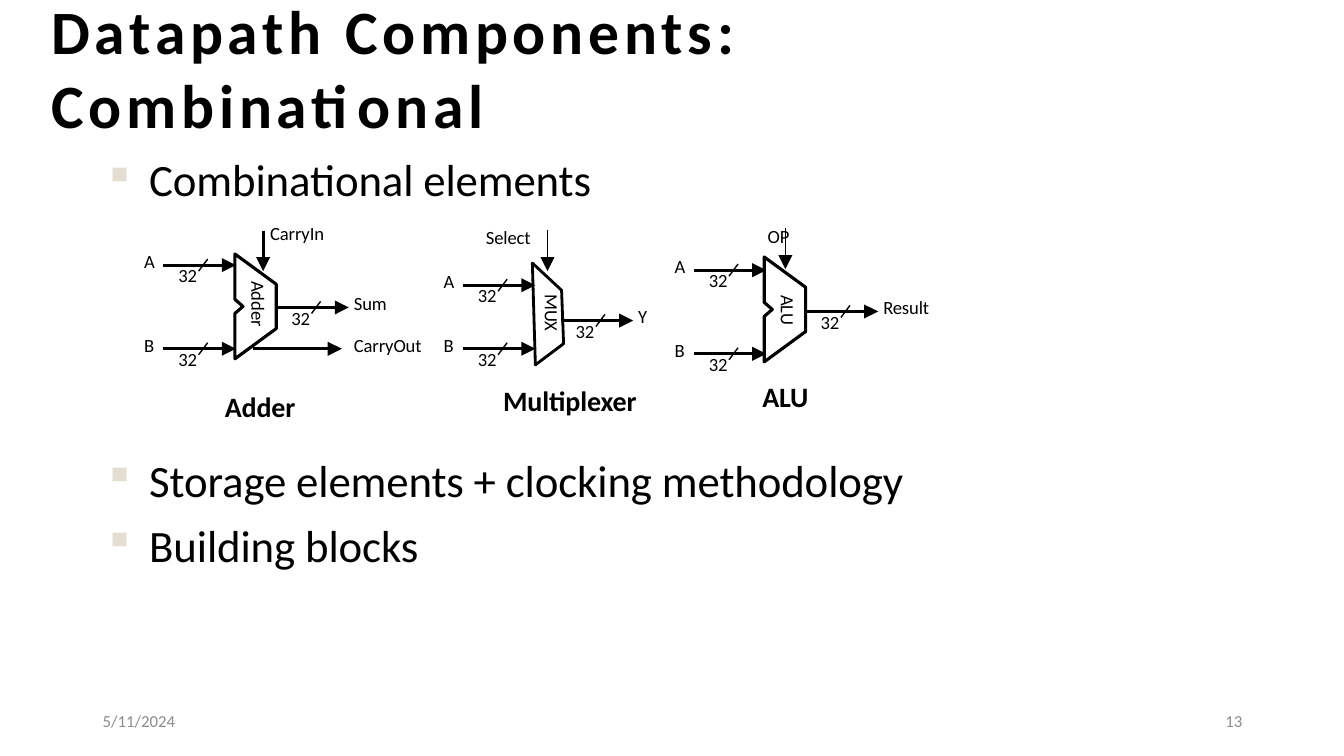
from lxml import etree
from pptx import Presentation
from pptx.dml.color import RGBColor
from pptx.enum.shapes import MSO_CONNECTOR as CONN
from pptx.enum.text import MSO_ANCHOR as ANCHOR, PP_ALIGN as ALIGN
from pptx.oxml.ns import qn
from pptx.util import Inches, Pt

FONT, BLACK, GREY, BULLET = "Calibri", "000000", "8C8C8C", "E3DDD2"

# Content
TITLE = "Datapath Components: Combinational"
LOWER_BULLETS = ["Storage elements + clocking methodology", "Building blocks"]
NOTCHED = [(0, 0), (0, 0.45), (0.08, 0.52), (0, 0.59), (0, 1.04), (0.41, 0.74), (0.41, 0.3)]
TRAPEZOID = [(0, 0), (0.03, 1.01), (0.31, 0.8), (0.29, 0.27)]
# wires: (x, y, input label, output label); control: (x, top, bottom, line width)
# inside and caption: (text, left, top, width, height)
COMPONENTS = [
    dict(at=(2.33, 2.52), outline=NOTCHED, line=2.25,
         wires=[(1.62, 2.63, "A", ""), (1.62, 3.46, "B", ""), (2.74, 3.05, "", "Sum")],
         control=(2.61, 2.29, 2.69, 2),
         inside=("Adder", 2.45, 2.79, 0.2, 0.5), caption=("Adder", 2.21, 3.84, 0.74, 0.36)),
    dict(at=(5.28, 2.61), outline=TRAPEZOID, line=2,
         wires=[(4.59, 2.83, "A", ""), (4.59, 3.46, "B", ""), (5.56, 3.18, "", "Y")],
         control=(5.43, 2.28, 2.69, 1),
         inside=("MUX", 5.36, 2.92, 0.2, 0.41), caption=("Multiplexer", 4.97, 3.78, 1.37, 0.36)),
    dict(at=(7.58, 2.55), outline=NOTCHED, line=2.25,
         wires=[(6.88, 2.68, "A", ""), (6.88, 3.51, "B", ""), (7.99, 3.09, "", "Result")],
         control=(7.79, 2.26, 2.67, 1),
         inside=("ALU", 7.7, 2.93, 0.2, 0.34), caption=("ALU", 7.54, 3.74, 0.49, 0.36)),
]
LABELS = [("CarryIn", 2.66, 2.18, 0.62), ("CarryOut", 3.49, 3.29, 0.75), ("Select", 4.8, 2.22, 0.5)]
FOOTERS = [("5/11/2024", 0.92, ALIGN.LEFT), ("13", 9.42, ALIGN.RIGHT)]

prs = Presentation()
prs.slide_width, prs.slide_height = Inches(13.33), Inches(7.5)
s = prs.slides.add_slide(prs.slide_layouts[6])


def rgb(value):
    return RGBColor.from_string(value)


def text_frame(x, y, w, h, left=0, top=0.02):
    tf = s.shapes.add_textbox(*map(Inches, (x, y, w, h))).text_frame
    tf.word_wrap = True
    tf.margin_left, tf.margin_top = Inches(left), Inches(top)
    tf.margin_right = tf.margin_bottom = 0
    return tf


def add_run(p, text, size, bold=False, color=BLACK, spacing=-10):
    r = p.add_run()
    r.text = text
    r.font.name, r.font.size, r.font.bold = FONT, Pt(size), bold
    r.font.color.rgb = rgb(color)
    r.font._element.set("spc", str(spacing))


def add_label(text, x, y, w, h=0.24, size=13.3, bold=False):
    tf = text_frame(x, y, w, h, left=0.02)
    add_run(tf.paragraphs[0], text, size, bold)


def add_bullet(p, text):
    pPr = p._p.get_or_add_pPr()
    pPr.set("marL", str(Inches(0.46)))
    pPr.set("indent", str(-Inches(0.45)))
    clr = etree.SubElement(pPr, qn("a:buClr"))
    etree.SubElement(clr, qn("a:srgbClr"), val=BULLET)
    etree.SubElement(pPr, qn("a:buSzPct"), val="94000")
    etree.SubElement(pPr, qn("a:buChar"), char="▪")
    add_run(p, text, 32)


def add_line(x1, y1, x2, y2, width, arrow=True):
    c = s.shapes.add_connector(CONN.STRAIGHT, *map(Inches, (x1, y1, x2, y2)))
    c.line.width = Pt(width)
    c.line.color.rgb = rgb(BLACK)
    if arrow:
        etree.SubElement(c.line._get_or_add_ln(), qn("a:tailEnd"), type="triangle", w="lg", len="lg")
    etree.SubElement(c._element.spPr, qn("a:effectLst"))


def add_bus(x, y, source, target):
    add_line(x, y, x + 0.72, y, 2)
    add_line(x + 0.44, y - 0.06, x + 0.35, y + 0.06, 1, arrow=False)
    add_label("32", x + 0.13, y - 0.03, 0.24)
    if source:
        add_label(source, x - 0.21, y - 0.17, 0.16)
    if target:
        add_label(target, x + 0.75, y - 0.17, 0.52)


def add_outline(at, points, width):
    pts = [(Inches(at[0] + dx), Inches(at[1] + dy)) for dx, dy in points]
    fb = s.shapes.build_freeform(*pts[0])
    fb.add_line_segments(pts[1:], close=True)
    sp = fb.convert_to_shape()
    sp.shadow.inherit = False
    sp.fill.background()
    sp.line.color.rgb = rgb(BLACK)
    sp.line.width = Pt(width)


# Title
tf = text_frame(0.49, 0.27, 10.93, 0.76, left=0.02)
tf.vertical_anchor = ANCHOR.MIDDLE
add_run(tf.paragraphs[0], TITLE, 44, bold=True, spacing=340)

# Bullets, with the ALU operation label closing the upper box
tf = text_frame(1.02, 1.49, 6.81, 0.96)
add_bullet(tf.paragraphs[0], "Combinational elements")
p = tf.add_paragraph()
p.alignment, p.space_before = ALIGN.RIGHT, Pt(13.3)
add_run(p, "OP", 13.3)

tf = text_frame(1.02, 4.36, 9.49, 1.32, top=0.13)
for i, text in enumerate(LOWER_BULLETS):
    p = tf.add_paragraph() if i else tf.paragraphs[0]
    add_bullet(p, text)
    if i:
        p.space_before = Pt(8)

# Components
for part in COMPONENTS:
    for wire in part["wires"]:
        add_bus(*wire)
    x, top, bottom, width = part["control"]
    add_line(x, top, x, bottom, width)
    add_outline(part["at"], part["outline"], part["line"])
    text, *box = part["inside"]
    tf = text_frame(*box, top=0)
    tf._txBody.bodyPr.set("vert", "vert")
    tf.paragraphs[0].line_spacing = Pt(13.9)
    add_run(tf.paragraphs[0], text, 13.3)
    add_label(*part["caption"], size=20, bold=True)

# Carry output and remaining labels
add_line(2.51, 3.46, 3.39, 3.46, 2)
for label in LABELS:
    add_label(*label)

# Footer
for text, x, align in FOOTERS:
    tf = text_frame(x, 6.95, 3, 0.4, left=0.1, top=0.05)
    tf.margin_right, tf.margin_bottom = Inches(0.1), Inches(0.05)
    tf.vertical_anchor = ANCHOR.MIDDLE
    tf.paragraphs[0].alignment = align
    add_run(tf.paragraphs[0], text, 12, color=GREY, spacing=0)

prs.save("out.pptx")
